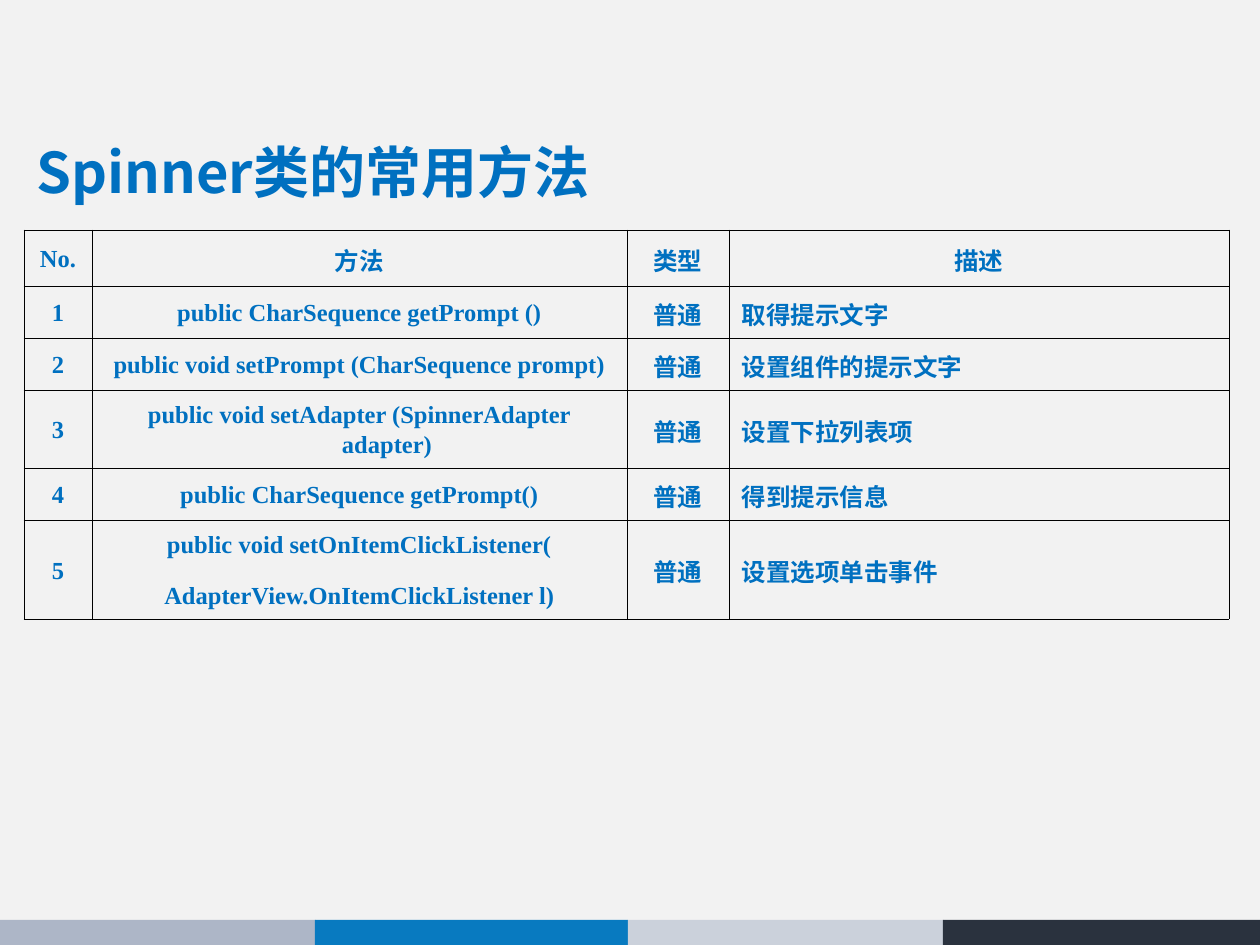
from dataclasses import dataclass

from lxml import etree
from pptx import Presentation
from pptx import util as u
from pptx.dml.color import RGBColor
from pptx.enum import shapes, text
from pptx.oxml.ns import qn

EMU_PER_PX = 914400 / 126
CENTER, JUSTIFY = text.PP_ALIGN.CENTER, text.PP_ALIGN.JUSTIFY


@dataclass(frozen=True)
class Theme:
    background: str = "F2F2F2"
    ink: str = "0070C0"
    border: str = "000000"
    border_width: float = 0.45
    latin: str = "Times New Roman"
    east_asian: str = "Noto Sans CJK SC"
    title_size: int = 32
    table_size: int = 14


@dataclass(frozen=True)
class Bar:
    left: int
    right: int
    color: str


@dataclass(frozen=True)
class Method:
    signature: str
    description: str
    height: int = 52
    kind: str = "普通"


THEME = Theme()
SLIDE_WIDTH, SLIDE_HEIGHT = 1260, 945
LEFT, WIDTH = 24, 1205
TITLE_TOP, TITLE_HEIGHT = 121, 108
TABLE_TOP, HEADER_HEIGHT = 230, 56
COLUMN_WIDTHS = (68, 535, 102, 500)
HANGING_INDENT = 55
BAR_TOP = 920

BARS = (
    Bar(0, 316, "ADB6C7"),
    Bar(315, 628, "087AC0"),
    Bar(628, 944, "CBD1DB"),
    Bar(943, 1260, "2A323E"),
)
HEADINGS = ("No.", "方法", "类型", "描述")
METHODS = (
    Method("public CharSequence getPrompt ()", "取得提示文字"),
    Method("public void setPrompt (CharSequence prompt)", "设置组件的提示文字"),
    Method("public void setAdapter (SpinnerAdapter adapter)", "设置下拉列表项", 78),
    Method("public CharSequence getPrompt()", "得到提示信息"),
    Method("public void setOnItemClickListener(\nAdapterView.OnItemClickListener l)",
           "设置选项单击事件", 99),
)


def px(length: int) -> u.Emu:
    return u.Emu(round(length * EMU_PER_PX))


def style_paragraph(paragraph, size: int, latin: str) -> None:
    font = paragraph.font
    font.size, font.bold, font.name = u.Pt(size), True, latin
    font.color.rgb = RGBColor.from_string(THEME.ink)
    defaults = paragraph._p.get_or_add_pPr().find(qn("a:defRPr"))
    etree.SubElement(defaults, qn("a:ea"), typeface=THEME.east_asian)


def draw_bar(slide, bar: Bar) -> None:
    shape = slide.shapes.add_shape(
        shapes.MSO_SHAPE.RECTANGLE, px(bar.left), px(BAR_TOP),
        px(bar.right - bar.left), px(SLIDE_HEIGHT - BAR_TOP))
    shape.shadow.inherit = False
    shape.fill.solid()
    shape.fill.fore_color.rgb = RGBColor.from_string(bar.color)
    shape.line.fill.background()


def draw_title(slide, title: str) -> None:
    box = slide.shapes.add_textbox(px(LEFT), px(TITLE_TOP), px(WIDTH), px(TITLE_HEIGHT))
    frame = box.text_frame
    frame.word_wrap = True
    frame.vertical_anchor = text.MSO_ANCHOR.MIDDLE
    frame.text = title
    paragraph = frame.paragraphs[0]
    paragraph.line_spacing = 0.9
    style_paragraph(paragraph, THEME.title_size, THEME.east_asian)


def add_borders(cell) -> None:
    properties = cell._tc.get_or_add_tcPr()
    for index, side in enumerate(("lnL", "lnR", "lnT", "lnB")):
        line = etree.Element(qn(f"a:{side}"), w=str(u.Pt(THEME.border_width)))
        fill = etree.SubElement(line, qn("a:solidFill"))
        etree.SubElement(fill, qn("a:srgbClr"), val=THEME.border)
        properties.insert(index, line)


def fill_cell(cell, content: str, alignment: text.PP_ALIGN) -> None:
    cell.fill.background()
    add_borders(cell)
    cell.vertical_anchor = text.MSO_ANCHOR.MIDDLE
    cell.text_frame.text = content
    for index, paragraph in enumerate(cell.text_frame.paragraphs):
        paragraph.alignment = alignment
        paragraph.line_spacing = 1.1
        if index:
            paragraph.space_before = u.Pt(12)
        properties = paragraph._p.get_or_add_pPr()
        properties.set("marL", str(px(HANGING_INDENT)))
        properties.set("indent", str(-px(HANGING_INDENT)))
        style_paragraph(paragraph, THEME.table_size, THEME.latin)


def draw_method_table(slide) -> None:
    heights = [HEADER_HEIGHT] + [method.height for method in METHODS]
    rows = [HEADINGS] + [
        (str(number), method.signature, method.kind, method.description)
        for number, method in enumerate(METHODS, 1)]
    table = slide.shapes.add_table(
        len(rows), len(HEADINGS), px(LEFT), px(TABLE_TOP), px(WIDTH), px(sum(heights))).table
    table.first_row = table.horz_banding = False
    for column, width in zip(table.columns, COLUMN_WIDTHS):
        column.width = px(width)
    for row_index, (contents, height) in enumerate(zip(rows, heights)):
        table.rows[row_index].height = px(height)
        for column_index, content in enumerate(contents):
            is_description = row_index > 0 and column_index == len(HEADINGS) - 1
            fill_cell(table.cell(row_index, column_index), content,
                      JUSTIFY if is_description else CENTER)


def main() -> None:
    presentation = Presentation()
    presentation.slide_width, presentation.slide_height = px(SLIDE_WIDTH), px(SLIDE_HEIGHT)
    slide = presentation.slides.add_slide(presentation.slide_layouts[6])
    slide.background.fill.solid()
    slide.background.fill.fore_color.rgb = RGBColor.from_string(THEME.background)
    for bar in BARS:
        draw_bar(slide, bar)
    draw_title(slide, "Spinner类的常用方法")
    draw_method_table(slide)
    presentation.save("out.pptx")


if __name__ == "__main__":
    main()
